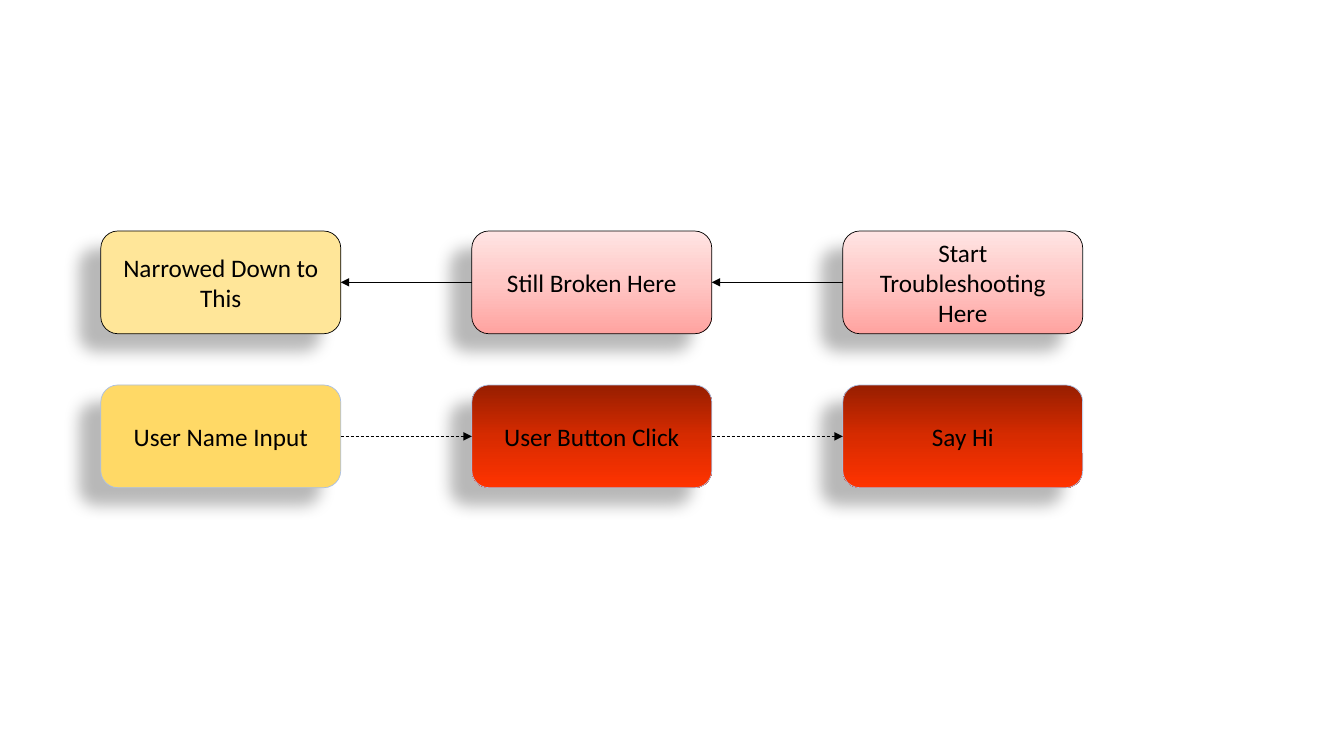
"""Build a slide with a troubleshooting flow above the program flow."""
from copy import deepcopy
from itertools import pairwise

from pptx import Presentation
from pptx.dml.color import RGBColor
from pptx.enum import dml, shapes, text
from pptx.oxml import ns
from pptx.util import Pt

BLACK = RGBColor(0x00, 0x00, 0x00)
PALE_BLUE = RGBColor(0xAB, 0xC0, 0xE4)
PALE_GOLD = RGBColor(0xFF, 0xE6, 0x99)
GOLD = RGBColor(0xFF, 0xD9, 0x66)
PINKS = [RGBColor(0xFF, 0xE4, 0xE3), RGBColor(0xFF, 0xC7, 0xC5), RGBColor(0xFF, 0xA3, 0xA0)]
REDS = [RGBColor(0x97, 0x1E, 0x00), RGBColor(0xD7, 0x2B, 0x00), RGBColor(0xFF, 0x33, 0x00)]

STEP_LEFT, STEP_PITCH = 72, 265
STEP_WIDTH, STEP_HEIGHT = 171.4, 73.4
RIGHT_SIDE, LEFT_SIDE = 3, 1

STEP_FONT = {"name": "Calibri", "size": Pt(18)}
SHADOW = {"blurRad": Pt(11.8), "dist": Pt(19.7), "dir": 141 * 60000,
          "algn": "ctr", "rotWithShape": 0}

FLOWS = [
    {"top": 165, "outline": BLACK, "dash": None, "arrowhead": "a:headEnd",
     "steps": [("Narrowed Down to This", [PALE_GOLD]),
               ("Still Broken Here", PINKS),
               ("Start Troubleshooting Here", PINKS)]},
    {"top": 275, "outline": PALE_BLUE, "dash": dml.MSO_LINE.DASH, "arrowhead": "a:tailEnd",
     "steps": [("User Name Input", [GOLD]),
               ("User Button Click", REDS),
               ("Say Hi", REDS)]},
]


def apply_format(target, values):
    """Set each attribute of target from a dict."""
    for attribute, value in values.items():
        setattr(target, attribute, value)


def add_xml(parent, tag, **attributes):
    """Append an element with the given attributes to parent."""
    child = parent.makeelement(ns.qn(tag), {k: str(v) for k, v in attributes.items()})
    parent.append(child)
    return child


def paint(step, colours):
    """Fill a step with one colour, or with three from top to bottom."""
    fill = step.fill
    if len(colours) == 1:
        fill.solid()
        fill.fore_color.rgb = colours[0]
        return
    fill.gradient()
    fill.gradient_angle = 270
    stop_list = next(step._element.spPr.iter(ns.qn("a:gsLst")))
    stop_list.insert(1, deepcopy(stop_list[0]))
    for stop, colour, position in zip(fill.gradient_stops, colours, (0, 0.5, 1)):
        stop.color.rgb = colour
        stop.position = position


def cast_shadow(step):
    """Give a step a soft shadow towards the lower left."""
    step.shadow.inherit = False
    effects = step._element.spPr.find(ns.qn("a:effectLst"))
    shadow = add_xml(effects, "a:outerShdw", **SHADOW)
    colour = add_xml(shadow, "a:srgbClr", val=BLACK)
    add_xml(colour, "a:alpha", val=28000)


def add_step(slide, left, top, wording, colours, outline):
    """Add a rounded box with centred wording."""
    step = slide.shapes.add_shape(
        shapes.MSO_SHAPE.ROUNDED_RECTANGLE,
        Pt(left), Pt(top), Pt(STEP_WIDTH), Pt(STEP_HEIGHT))
    paint(step, colours)
    step.line.color.rgb = outline
    step.line.width = Pt(0.5)
    cast_shadow(step)
    apply_format(step.text_frame, {"text": wording, "word_wrap": True,
                                   "vertical_anchor": text.MSO_ANCHOR.MIDDLE})
    paragraph = step.text_frame.paragraphs[0]
    paragraph.alignment = text.PP_ALIGN.CENTER
    font = paragraph.runs[0].font
    apply_format(font, STEP_FONT)
    font.color.rgb = BLACK
    return step


def add_arrow(slide, left_step, right_step, dash, arrowhead):
    """Join two neighbouring steps, with the arrowhead at the given end."""
    arrow = slide.shapes.add_connector(shapes.MSO_CONNECTOR.STRAIGHT, 0, 0, 0, 0)
    arrow.begin_connect(left_step, RIGHT_SIDE)
    arrow.end_connect(right_step, LEFT_SIDE)
    arrow.line.color.rgb = BLACK
    apply_format(arrow.line, {"width": Pt(0.5), "dash_style": dash})
    add_xml(arrow.line._get_or_add_ln(), arrowhead, type="triangle")
    add_xml(arrow._element.spPr, "a:effectLst")


def add_flow(slide, top, outline, dash, arrowhead, steps):
    """Add a row of steps and the arrows between them."""
    row = [add_step(slide, STEP_LEFT + column * STEP_PITCH, top, wording, colours, outline)
           for column, (wording, colours) in enumerate(steps)]
    for left_step, right_step in pairwise(row):
        add_arrow(slide, left_step, right_step, dash, arrowhead)


def main():
    """Build and save the slide."""
    deck = Presentation()
    apply_format(deck, {"slide_width": Pt(960), "slide_height": Pt(540)})
    slide = deck.slides.add_slide(deck.slide_layouts[6])
    for flow in FLOWS:
        add_flow(slide, **flow)
    deck.save("out.pptx")


main()
